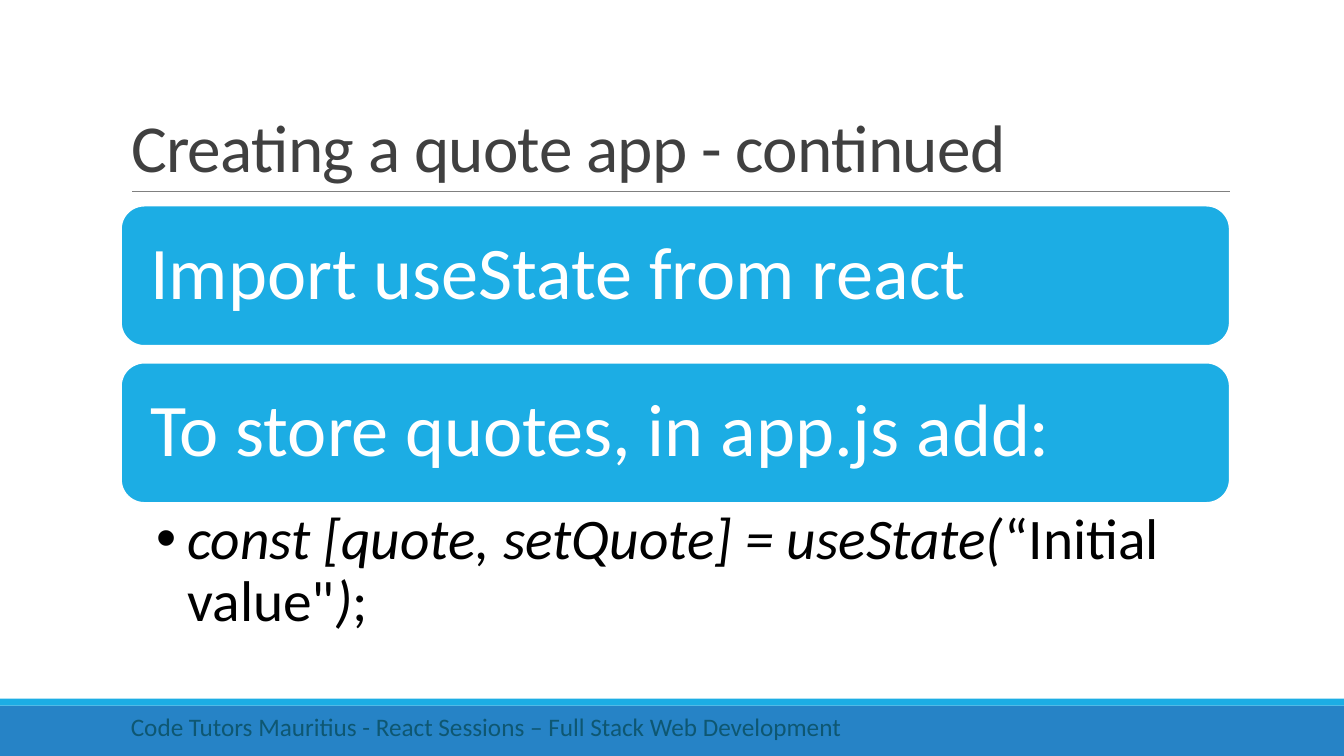
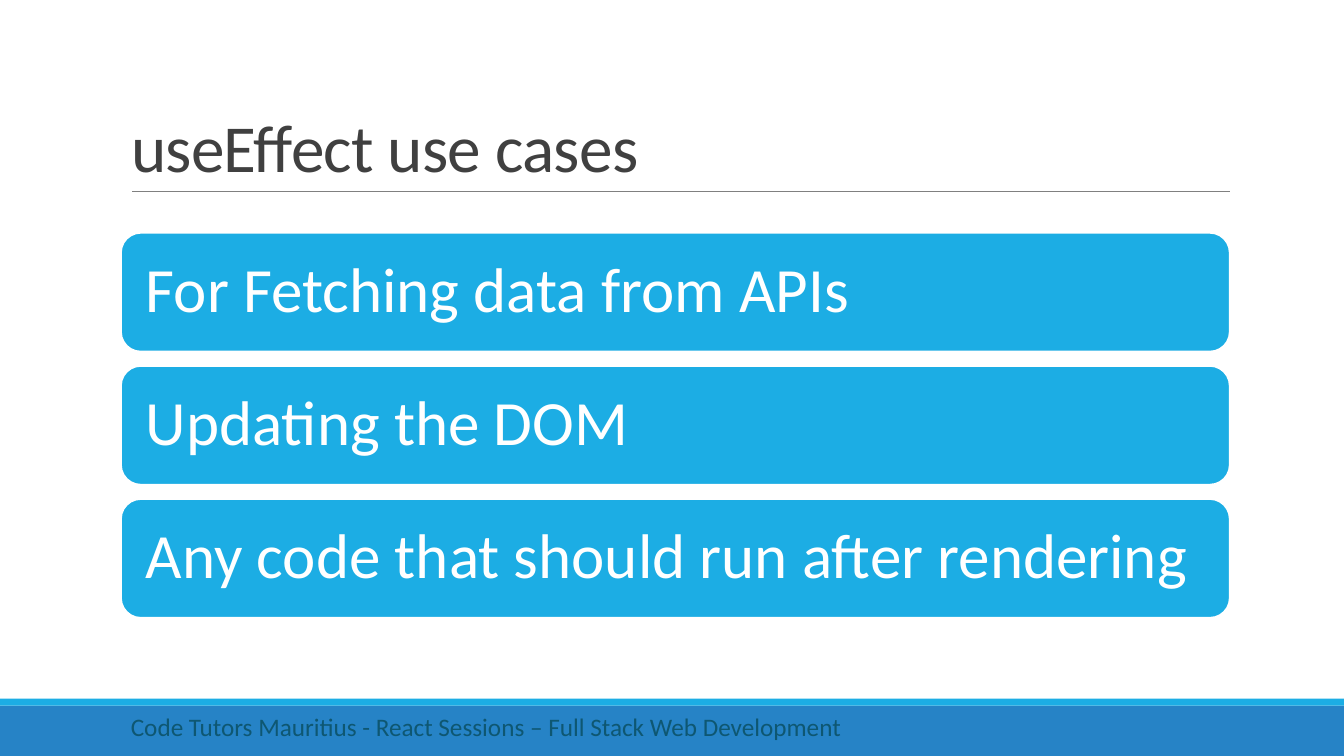
from collections import namedtuple

from lxml.etree import SubElement
from pptx import Presentation
from pptx.dml.color import RGBColor
from pptx.enum.shapes import MSO_CONNECTOR, MSO_SHAPE
from pptx.enum.text import MSO_ANCHOR as Anchor, MSO_AUTO_SIZE as AutoSize, PP_ALIGN as Align
from pptx.oxml.ns import qn
from pptx.util import Emu, Inches, Pt

WHITE = RGBColor(0xFF, 0xFF, 0xFF)
BLACK = RGBColor(0x00, 0x00, 0x00)
SKY = RGBColor(0x1C, 0xAD, 0xE4)
BLUE = RGBColor(0x26, 0x83, 0xC6)
GRAY = RGBColor(0x80, 0x80, 0x80)
CHARCOAL = RGBColor(0x40, 0x40, 0x40)
TEAL = RGBColor(0x0E, 0x57, 0x72)

FONT = "Calibri"
FOOTER = "Code Tutors Mauritius - React Sessions – Full Stack Web Development"
WIDTH, HEIGHT = Inches(13.33), Inches(7.5)
COLUMN, ROW = WIDTH / 100, HEIGHT / 100

# Boxes are given in columns and rows of a 100 x 100 grid
Box = namedtuple("Box", "left top width height")
TITLE_BOX = Box(9, 4.13, 82.5, 21.2)
DARK_BAND = Box(0, 93.33, 100, 6.67)
THIN_BAND = Box(0, 92.4, 100, 0.93)
FOOTER_BOX = Box(9, 93.47, 58.36, 5.33)
CARD_GAP = 0.12  # share of a card's height
CARD_INSET = 0.16  # share of a card's height
CARD_FONT = 38.2  # points per inch of a card's height


def lengths(box):
    """Turn a grid box into left, top, width and height."""
    return (Emu(round(box.left * COLUMN)), Emu(round(box.top * ROW)),
            Emu(round(box.width * COLUMN)), Emu(round(box.height * ROW)))


def place(shape, box):
    """Move and size a placeholder to a grid box."""
    shape.left, shape.top, shape.width, shape.height = lengths(box)


def write(shape, text, size, color, anchor=Anchor.TOP, spacing=1.0, insets=None, tracking=None):
    """Write one paragraph; text is a string or a list of (string, italic) runs."""
    frame = shape.text_frame
    frame.word_wrap = True
    frame.auto_size = AutoSize.NONE
    frame.vertical_anchor = anchor
    if insets:
        (frame.margin_left, frame.margin_top,
         frame.margin_right, frame.margin_bottom) = [Inches(inset) for inset in insets]
    paragraph = frame.paragraphs[0]
    paragraph.alignment = Align.LEFT
    paragraph.line_spacing = spacing
    paragraph.space_before = Pt(0)
    for words, italic in [(text, False)] if isinstance(text, str) else text:
        run = paragraph.add_run()
        run.text = words
        font = run.font
        font.name, font.size, font.italic = FONT, Pt(size), italic
        font.color.rgb = color
        if tracking:
            run._r.get_or_add_rPr().set("spc", str(round(tracking * 100)))
    return paragraph


def add_block(slide, kind, box, fill, outline=None):
    """Add a filled shape, with an outline if a colour is given."""
    shape = slide.shapes.add_shape(kind, *lengths(box))
    shape.shadow.inherit = False
    shape.fill.solid()
    shape.fill.fore_color.rgb = fill
    if outline is None:
        shape.line.fill.background()
    else:
        shape.line.color.rgb = outline
        shape.line.width = Pt(1.25)
    return shape


def add_title(slide, text, box):
    """Fill the title and rule a thin line along its lower edge."""
    place(slide.shapes.title, box)
    write(slide.shapes.title, text, 48, CHARCOAL, anchor=Anchor.BOTTOM, spacing=0.85,
          insets=(0.1, 0.05, 0.1, 0.05), tracking=-0.5)
    left, top, width, height = lengths(box)
    indent = Inches(0.11)
    rule = slide.shapes.add_connector(MSO_CONNECTOR.STRAIGHT, left + indent, top + height,
                                      left + width, top + height)
    rule.line.color.rgb = GRAY
    rule.line.width = Pt(0.5)
    SubElement(rule._element.spPr, qn("a:effectLst"))


def add_footer(slide, box):
    """Draw the two bands and the session name."""
    add_block(slide, MSO_SHAPE.RECTANGLE, DARK_BAND, BLUE)
    add_block(slide, MSO_SHAPE.RECTANGLE, THIN_BAND, SKY)
    write(slide.shapes.add_textbox(*lengths(box)), FOOTER, 18, TEAL)


def add_cards(slide, texts, box):
    """Stack equal rounded cards that fill the box."""
    height = box.height / (len(texts) + (len(texts) - 1) * CARD_GAP)
    inches = Emu(round(height * ROW)).inches
    for index, text in enumerate(texts):
        card_box = box._replace(top=box.top + index * height * (1 + CARD_GAP), height=height)
        card = add_block(slide, MSO_SHAPE.ROUNDED_RECTANGLE, card_box, SKY, outline=WHITE)
        write(card, text, round(CARD_FONT * inches), WHITE, anchor=Anchor.MIDDLE,
              spacing=0.9, insets=[CARD_INSET * inches] * 4)


def add_code_bullet(slide, runs, box):
    """Put a bulleted line of code in the body placeholder."""
    body = slide.placeholders[1]
    place(body, box)
    paragraph = write(body, runs, 41, BLACK, spacing=0.9, insets=(0.35, 0.07, 0.41, 0.07))
    properties = paragraph._p.get_or_add_pPr()
    properties.set("marL", str(Inches(0.31)))
    properties.set("indent", str(Inches(-0.31)))
    SubElement(properties, qn("a:buChar")).set("char", "•")


def add_slide(presentation, layout, title):
    """Add a slide with the shared title and footer."""
    slide = presentation.slides.add_slide(presentation.slide_layouts.get_by_name(layout))
    add_footer(slide, FOOTER_BOX)
    add_title(slide, title, TITLE_BOX)
    return slide


def main():
    """Build both slides and save them."""
    presentation = Presentation()
    presentation.slide_width, presentation.slide_height = WIDTH, HEIGHT

    quote_slide = add_slide(presentation, "Title and Content", "Creating a quote app - continued")
    add_cards(quote_slide, ["Import useState from react", "To store quotes, in app.js add:"],
              Box(9, 27.2, 82.5, 39.33))
    add_code_bullet(quote_slide,
                    [("const [quote, setQuote] = useState(", True), ("“Initial value\"", False),
                     (")", True), (";", False)],
                    Box(9, 66.53, 82.5, 18.8))

    effect_slide = add_slide(presentation, "Title Only", "useEffect use cases")
    add_cards(effect_slide, ["For Fetching data from APIs", "Updating the DOM",
                             "Any code that should run after rendering"],
              Box(9, 30.8, 82.5, 50.93))

    presentation.save("out.pptx")


main()
